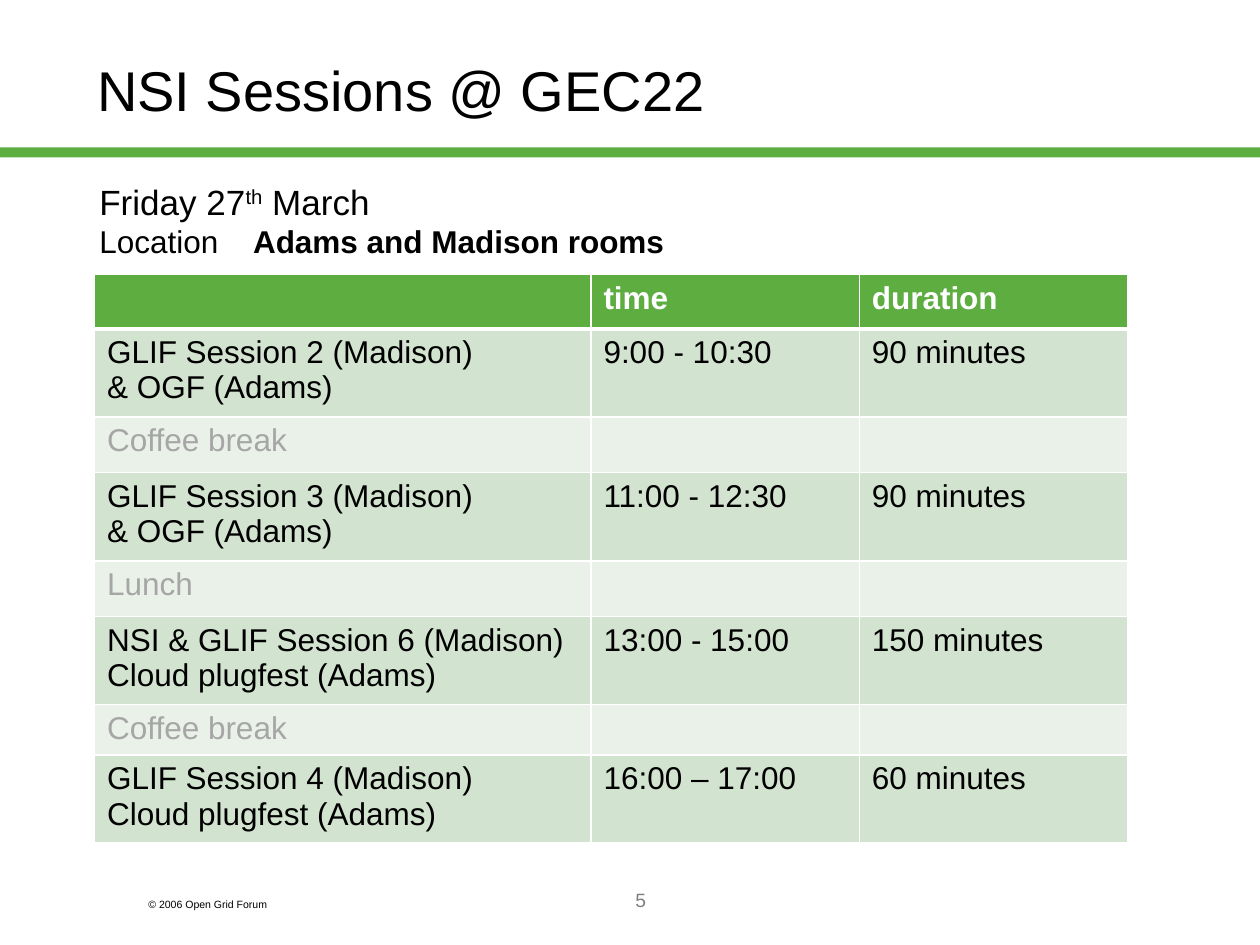
from dataclasses import dataclass

import pptx
import pptx.dml.color
import pptx.enum.shapes
import pptx.enum.text
import pptx.oxml
import pptx.oxml.ns
import pptx.util

WIDE, HIGH = 10, 7.5
GREEN, BLACK, WHITE, GREY = "5DAD41", "000000", "FFFFFF", "808080"
DARK, LIGHT, FAINT = "D2E3CF", "EAF1E9", "A6A6A6"
COLS = (39.4, 21.3, 21.3)
ALIGN = pptx.enum.text.PP_ALIGN
ANCHOR = pptx.enum.text.MSO_ANCHOR


@dataclass(frozen=True)
class Box:
    """Place and size in percent of the slide."""
    left: float
    top: float
    wide: float
    high: float

    def emu(self) -> tuple:
        return (across(self.left), down(self.top),
                across(self.wide), down(self.high))


@dataclass(frozen=True)
class Row:
    high: float
    cells: tuple
    fill: str = DARK
    ink: str = BLACK
    bold: bool = False
    rule: float = 1


ROWS = (
    Row(5.73, ("", "time", "duration"), GREEN, WHITE, True, 3),
    Row(9.33, ("GLIF Session 2 (Madison)\n& OGF (Adams)",
               "9:00 - 10:30", "90 minutes")),
    Row(5.87, ("Coffee break", "", ""), LIGHT, FAINT),
    Row(9.33, ("GLIF Session 3 (Madison)\n& OGF (Adams)",
               "11:00 - 12:30", "90 minutes")),
    Row(5.87, ("Lunch", "", ""), LIGHT, FAINT),
    Row(9.33, ("NSI & GLIF Session 6 (Madison)\nCloud plugfest (Adams)",
               "13:00 - 15:00", "150 minutes")),
    Row(5.33, ("Coffee break", "", ""), LIGHT, FAINT),
    Row(9.33, ("GLIF Session 4 (Madison)\nCloud plugfest (Adams)",
               "16:00 – 17:00", "60 minutes")),
)


def across(share: float) -> int:
    return pptx.util.Inches(WIDE * share / 100)


def down(share: float) -> int:
    return pptx.util.Inches(HIGH * share / 100)


def color(code: str):
    return pptx.dml.color.RGBColor.from_string(code)


def write(para, text: str, size: float, ink: str = BLACK, bold: bool = False):
    run = para.add_run()
    run.text = text
    font = run.font
    font.name, font.size, font.bold = "Arial", pptx.util.Pt(size), bold
    font.color.rgb = color(ink)
    return run


def add_text(slide, box: Box):
    """Add a wrapped text box and return its first paragraph."""
    frame = slide.shapes.add_textbox(*box.emu()).text_frame
    frame.word_wrap = True
    return frame.paragraphs[0]


def add_bar(slide, box: Box) -> None:
    bar = slide.shapes.add_shape(
        pptx.enum.shapes.MSO_SHAPE.RECTANGLE, *box.emu())
    bar.shadow.inherit = False
    bar.fill.solid()
    bar.fill.fore_color.rgb = color(GREEN)
    bar.line.fill.background()


def set_title(slide, box: Box, text: str) -> None:
    title = slide.shapes.title
    title.left, title.top, title.width, title.height = box.emu()
    title.text_frame.vertical_anchor = ANCHOR.MIDDLE
    para = title.text_frame.paragraphs[0]
    para.alignment, para.line_spacing = ALIGN.LEFT, 0.8
    write(para, text, 32)


def add_intro(slide, box: Box) -> None:
    para = add_text(slide, box)
    space = pptx.oxml.ns.nsdecls("a")
    para._p.get_or_add_pPr().append(pptx.oxml.parse_xml(
        f'<a:tabLst {space}><a:tab pos="{across(12.2)}" algn="l"/>'
        '</a:tabLst>'))
    write(para, "Friday 27", 20)
    raised = write(para, "th", 20)
    raised.font._element.set("baseline", "30000")
    write(para, " March", 20)
    para.add_line_break()
    write(para, "Location\t", 18)
    write(para, "Adams and Madison rooms", 18, bold=True)


def set_edges(cell, above: float, below: float) -> None:
    space = pptx.oxml.ns.nsdecls("a")
    for side, width in zip("LRTB", (1, 1, above, below)):
        cell._tc.get_or_add_tcPr().append(pptx.oxml.parse_xml(
            f'<a:ln{side} {space} w="{pptx.util.Pt(width)}"><a:solidFill>'
            f'<a:srgbClr val="{WHITE}"/></a:solidFill></a:ln{side}>'))


def add_plan(slide, left: float, top: float) -> None:
    box = Box(left, top, sum(COLS), sum(row.high for row in ROWS))
    table = slide.shapes.add_table(len(ROWS), len(COLS), *box.emu()).table
    for col, wide in zip(table.columns, COLS):
        col.width = across(wide)
    above = 1
    for line, row in zip(table.rows, ROWS):
        line.height = down(row.high)
        for cell, text in zip(line.cells, row.cells):
            set_edges(cell, above, row.rule)
            cell.fill.solid()
            cell.fill.fore_color.rgb = color(row.fill)
            frame = cell.text_frame
            for i, part in enumerate(text.split("\n") if text else ()):
                para = frame.add_paragraph() if i else frame.paragraphs[0]
                write(para, part, 18, row.ink, row.bold)
        above = row.rule


def main() -> None:
    deck = pptx.Presentation()
    deck.slide_width, deck.slide_height = across(100), down(100)
    slide = deck.slides.add_slide(deck.slide_layouts.get_by_name("Title Only"))
    add_bar(slide, Box(0, 15.6, 100, 1.07))
    write(add_text(slide, Box(10.8, 94.4, 15, 2.67)),
          "© 2006 Open Grid Forum", 6)
    number = add_text(slide, Box(21.7, 93.33, 58.3, 6.67))
    number.alignment = ALIGN.CENTER
    write(number, "5", 11, GREY)
    add_plan(slide, 7.5, 29.07)
    add_intro(slide, Box(6.9, 18.4, 74.6, 9.6))
    set_title(slide, Box(6.7, 1.73, 85, 16.67), "NSI Sessions @ GEC22")
    deck.save("out.pptx")


if __name__ == "__main__":
    main()
